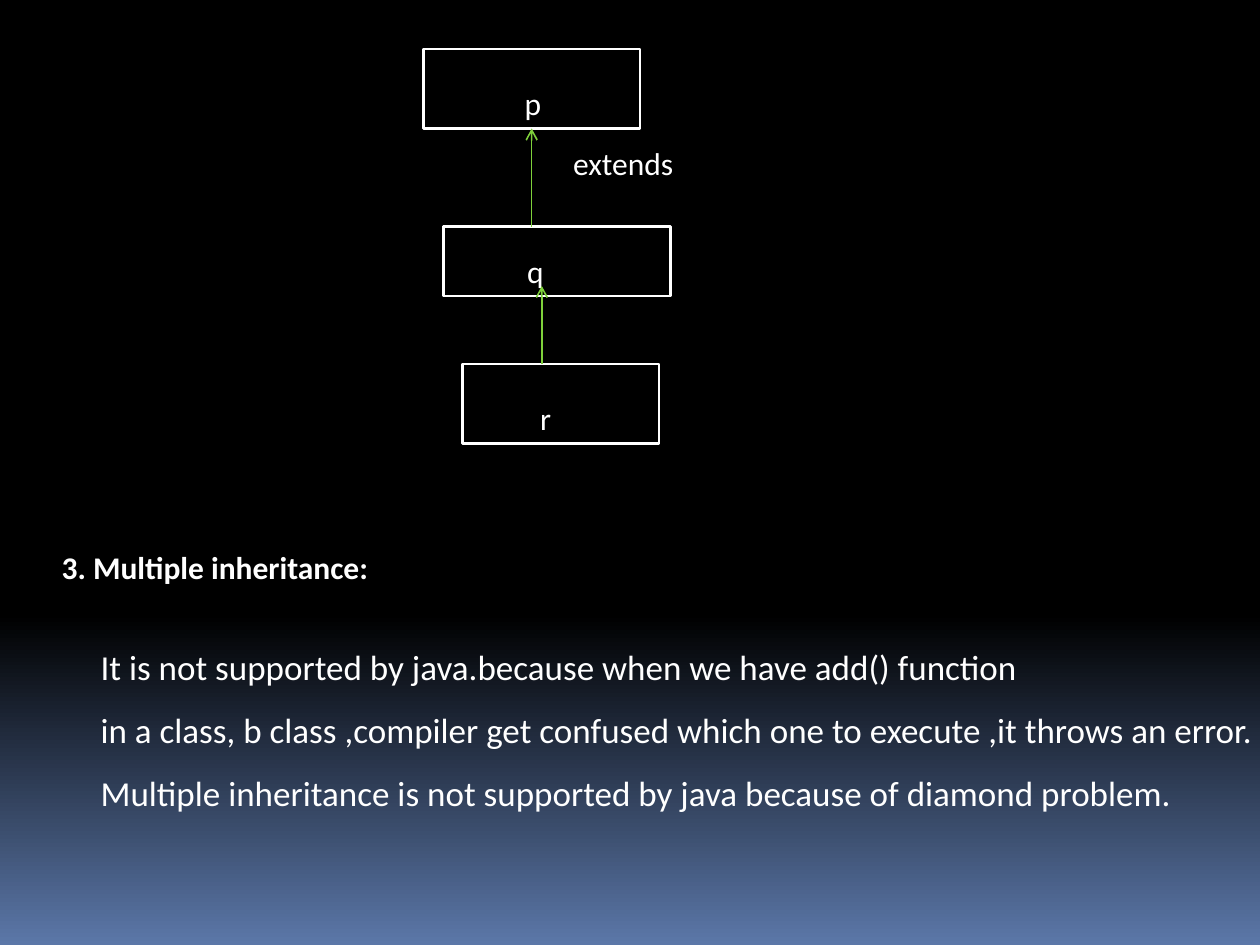
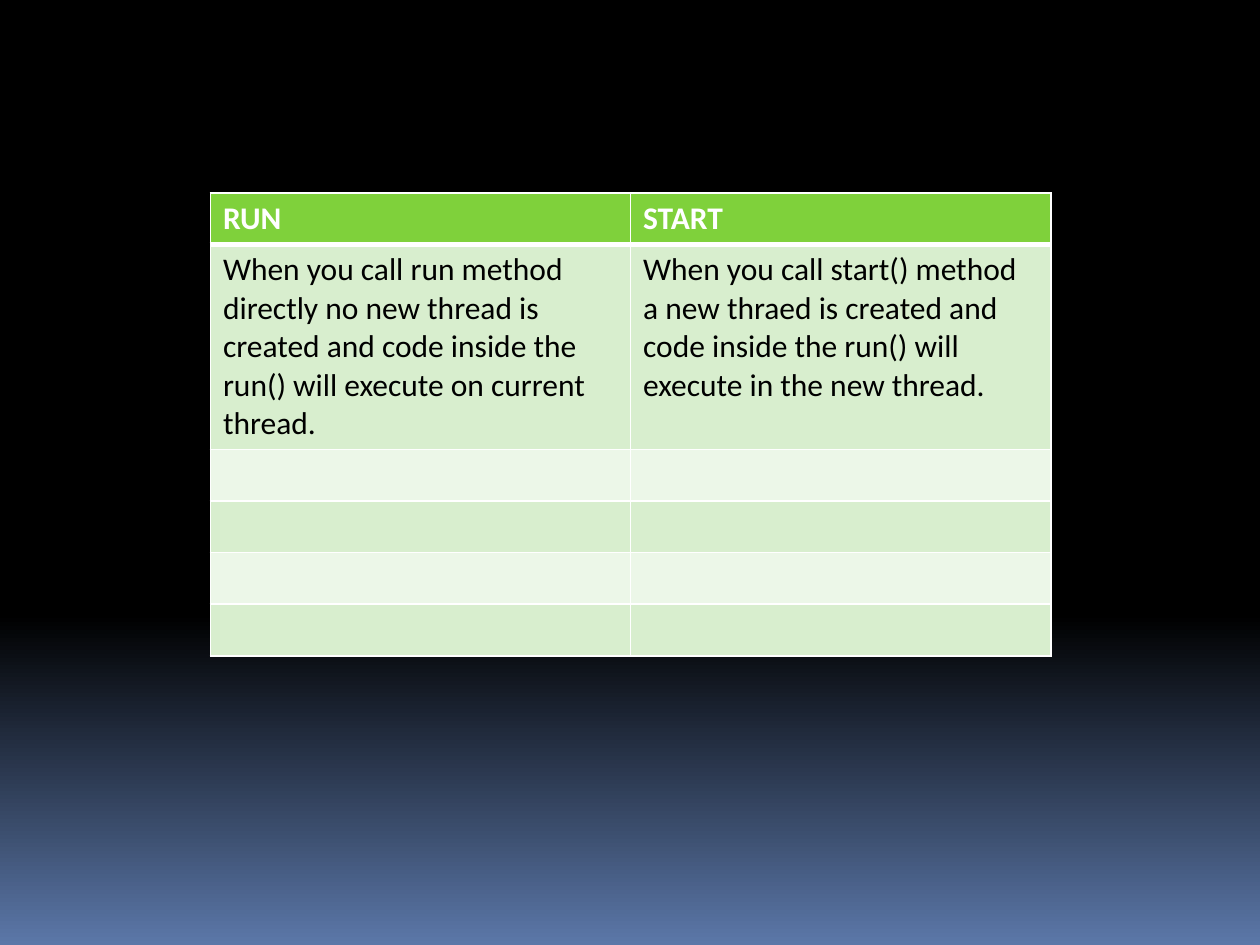
"""Builds two Java slides: inheritance and run versus start."""
from copy import deepcopy

from lxml import etree
from pptx import Presentation
from pptx.dml.color import RGBColor
from pptx.enum.shapes import MSO_CONNECTOR, MSO_SHAPE
from pptx.enum.text import PP_ALIGN
from pptx.oxml.ns import qn
from pptx.util import Inches, Pt

RECTANGLE = MSO_SHAPE.RECTANGLE
STRAIGHT = MSO_CONNECTOR.STRAIGHT
LEFT, CENTER = PP_ALIGN.LEFT, PP_ALIGN.CENTER

BLACK = RGBColor(0x00, 0x00, 0x00)
WHITE = RGBColor(0xFF, 0xFF, 0xFF)
BLUE = RGBColor(0x5B, 0x77, 0xA8)
GREEN = RGBColor(0x7F, 0xD1, 0x3B)
BANDS = RGBColor(0xEC, 0xF7, 0xE8), RGBColor(0xD8, 0xEE, 0xCE)
FONT = "Calibri"

BACKGROUND_STOPS = [(0, BLACK), (0.65, BLACK), (1, BLUE)]

# name, box (left, top, width, height), label (center, top)
CLASSES = [
    ("p", (3.36, 0.39, 1.72, 0.63), (4.23, 0.62)),
    ("q", (3.52, 1.8, 1.8, 0.55), (4.25, 1.95)),
    ("r", (3.67, 2.89, 1.56, 0.63), (4.33, 3.12)),
]
# x, start y, end y, class joined at its bottom side
ARROWS = [(4.22, 1.8, 1.02, "p"), (4.3, 2.89, 2.27, None)]
LABEL_WIDTH, LABEL_HEIGHT = 1, 0.4

HEADING = "3. Multiple inheritance:"
EXPLANATION = [
    "It is not supported by java.because when we have add() function",
    "in a class, b class ,compiler get confused which one to execute ,it throws an error.",
    "Multiple inheritance is not supported by java because of diamond problem.",
]
EXPLANATION_INDENT = 0.31

COMPARISON = [
    ("RUN", "START"),
    ("When you call run method directly no new thread is created and code inside "
     "the run() will execute on current thread.",
     "When you call start() method a new thraed is created and code inside "
     "the run() will execute in the new thread."),
] + [("", "")] * 4
ROW_HEIGHT, TEXT_ROW_HEIGHT = 0.41, 1.58


def set_background(master):
    fill = master.background.fill
    fill.gradient()
    fill.gradient_angle = 270
    stop_list = master.element.find(".//" + qn("p:bg")).find(".//" + qn("a:gsLst"))
    stop_list.insert(1, deepcopy(stop_list[0]))
    for stop, (position, color) in zip(fill.gradient_stops, BACKGROUND_STOPS):
        stop.position = position
        stop.color.rgb = color


def style(paragraph, size=18, color=WHITE, bold=False):
    font = paragraph.font
    font.name, font.size, font.bold = FONT, Pt(size), bold
    font.color.rgb = color


def add_text(slide, text, left, top, width, height, alignment=LEFT, bold=False):
    box = slide.shapes.add_textbox(*map(Inches, (left, top, width, height)))
    box.text_frame.word_wrap = True
    paragraph = box.text_frame.paragraphs[0]
    paragraph.text = text
    paragraph.alignment = alignment
    style(paragraph, bold=bold)
    return box.text_frame


def add_class_box(slide, place):
    shape = slide.shapes.add_shape(RECTANGLE, *map(Inches, place))
    shape.shadow.inherit = False
    shape.fill.solid()
    shape.fill.fore_color.rgb = BLACK
    shape.line.color.rgb = WHITE
    shape.line.width = Pt(1.5)
    return shape


def add_arrow(slide, x, start, end, target):
    arrow = slide.shapes.add_connector(STRAIGHT, *map(Inches, (x, start, x, end)))
    arrow.line.color.rgb = GREEN
    arrow.line.width = Pt(0.94)
    etree.SubElement(arrow.line._get_or_add_ln(), qn("a:tailEnd"), type="arrow")
    etree.SubElement(arrow._element.spPr, qn("a:effectLst"))
    if target is not None:
        arrow.end_connect(target, 2)


def set_borders(cell, top, bottom):
    properties = cell._tc.get_or_add_tcPr()
    for side, width in (("L", 1), ("R", 1), ("T", top), ("B", bottom)):
        line = etree.SubElement(properties, qn("a:ln" + side), w=str(Pt(width)))
        fill = etree.SubElement(line, qn("a:solidFill"))
        etree.SubElement(fill, qn("a:srgbClr"), val=str(WHITE))


def build_inheritance(slide):
    boxes = {name: add_class_box(slide, place) for name, place, _ in CLASSES}
    for name, _, (center, top) in CLASSES:
        add_text(slide, name, center - LABEL_WIDTH / 2, top,
                 LABEL_WIDTH, LABEL_HEIGHT, CENTER)
    add_text(slide, "extends", 4.45, 1.09, 1.09, LABEL_HEIGHT)
    for x, start, end, target in ARROWS:
        add_arrow(slide, x, start, end, boxes.get(target))

    frame = add_text(slide, HEADING, 0.39, 4.3, 9.78, 3.23, bold=True)
    for index, text in enumerate(EXPLANATION):
        paragraph = frame.add_paragraph()
        paragraph.text = text
        paragraph.line_spacing = 1.5
        paragraph.space_before = Pt(0 if index else 22)
        paragraph._p.get_or_add_pPr().set("marL", str(Inches(EXPLANATION_INDENT)))
        style(paragraph, size=20)


def build_comparison(slide):
    place = map(Inches, (1.67, 1.53, 6.67, 3.63))
    table = slide.shapes.add_table(len(COMPARISON), 2, *place).table
    for row, texts in enumerate(COMPARISON):
        header = row == 0
        table.rows[row].height = Inches(TEXT_ROW_HEIGHT if row == 1 else ROW_HEIGHT)
        for column, text in enumerate(texts):
            cell = table.cell(row, column)
            set_borders(cell, 3 if row == 1 else 1, 3 if header else 1)
            cell.fill.solid()
            cell.fill.fore_color.rgb = GREEN if header else BANDS[row % 2]
            cell.text = text
            style(cell.text_frame.paragraphs[0],
                  color=WHITE if header else BLACK, bold=header)


def main():
    presentation = Presentation()
    presentation.slide_width, presentation.slide_height = Inches(10), Inches(7.5)
    set_background(presentation.slide_master)
    blank = presentation.slide_layouts[6]
    for build in (build_inheritance, build_comparison):
        build(presentation.slides.add_slide(blank))
    presentation.save("out.pptx")


if __name__ == "__main__":
    main()
